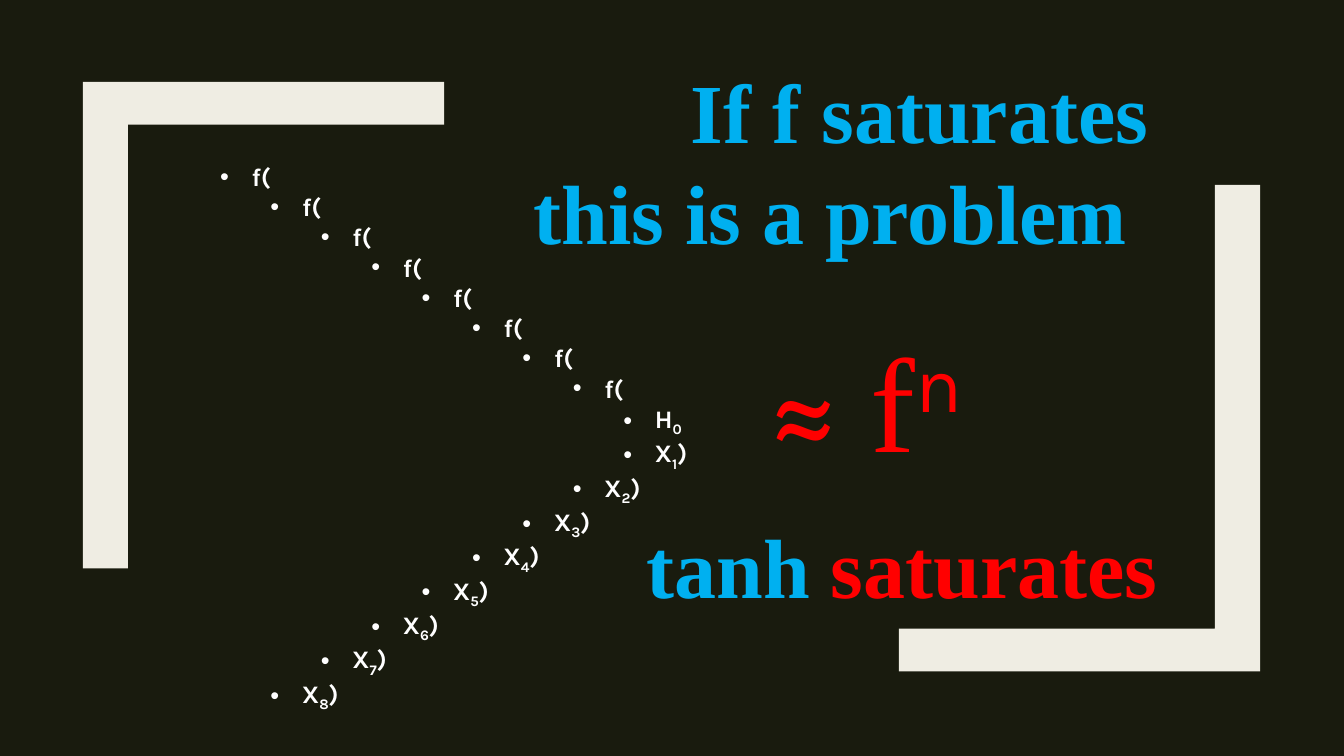
from lxml.etree import SubElement
from pptx import Presentation
from pptx.dml.color import RGBColor
from pptx.enum.text import MSO_ANCHOR, MSO_AUTO_SIZE, PP_ALIGN
from pptx.oxml.ns import qn
from pptx.util import Inches, Pt

COLORS = {"back": "191B0E", "frame": "EFEDE3", "text": "FFFFFF",
          "blue": "00B0F0", "red": "FF0000"}
SERIF, SANS = "Times New Roman", "Karla"
COLS, ROWS = 80, 45
DEPTH = 8
NBSP = "\u00a0"


def rgb(name):
    """Return the named colour."""
    return RGBColor.from_string(COLORS[name])


class Deck:
    """Holds the style and the current slide; lengths are grid cells."""

    def __init__(self):
        """Open a wide presentation with one title-and-content slide."""
        self.prs = Presentation()
        self.prs.slide_width, self.prs.slide_height = Inches(13.33), Inches(7.5)
        self.s = self.prs.slides.add_slide(self.prs.slide_layouts[1])
        self.s.background.fill.solid()
        self.s.background.fill.fore_color.rgb = rgb("back")

    def x(self, cols):
        """Convert columns to a length."""
        return round(self.prs.slide_width * cols / COLS)

    def y(self, rows):
        """Convert rows to a length."""
        return round(self.prs.slide_height * rows / ROWS)

    def place(self, sp, left, top, width, height):
        """Move a text shape and prepare its frame."""
        sp.left, sp.top = self.x(left), self.y(top)
        sp.width, sp.height = self.x(width), self.y(height)
        tf = sp.text_frame
        tf.word_wrap = True
        tf.auto_size = MSO_AUTO_SIZE.NONE
        tf.vertical_anchor = MSO_ANCHOR.TOP
        return tf

    def runs(self, p, parts, size, font, color, bold=None):
        """Add (text, changes) runs that share one style."""
        for text, changes in parts:
            r = p.add_run()
            r.text = text
            r.font.size, r.font.bold = Pt(size), bold
            r.font.name = changes.get("font", font)
            r.font.color.rgb = rgb(changes.get("color", color))
            if "base" in changes:
                r._r.get_or_add_rPr().set("baseline", str(changes["base"] * 1000))

    def title(self, lines, *box):
        """Fill the title placeholder with right-aligned lines."""
        tf = self.place(self.s.shapes.title, *box)
        tf.text = "\n".join(lines)
        for p in tf.paragraphs:
            p.alignment = PP_ALIGN.RIGHT
            for r in p.runs:
                r.font.size, r.font.bold, r.font.name = Pt(60), True, SERIF
                r.font.color.rgb = rgb("blue")

    def label(self, parts, *box, **style):
        """Add a right-aligned text box."""
        tf = self.place(self.s.shapes.add_textbox(0, 0, 0, 0), *box)
        p = tf.paragraphs[0]
        p.alignment = PP_ALIGN.RIGHT
        self.runs(p, parts, **style)

    def nested_list(self, items, *box):
        """Fill the body placeholder with (level, parts) bullets."""
        tf = self.place(self.s.placeholders[1], *box)
        for i, (level, parts) in enumerate(items):
            p = tf.add_paragraph() if i else tf.paragraphs[0]
            p.level = level
            p.space_before = Pt(0)
            pPr = p._p.get_or_add_pPr()
            pPr.set("marL", str(self.x(1.88 + 3 * level)))
            pPr.set("indent", str(-self.x(1.88)))
            SubElement(pPr, qn("a:buChar")).set("char", "•")
            self.runs(p, parts, 18, SANS, "text", True)

    def brackets(self, corners, width=21.5, height=28.95, thick=(2.68, 2.54)):
        """Draw grouped L-shaped brackets from (column, row, direction)."""
        group = self.s.shapes.add_group_shape()
        tx, ty = thick
        outline = [(0, 0), (width, 0), (width, ty), (tx, ty), (tx, height), (0, height)]
        for col, row, way in corners:
            pts = [(self.x(col + way * dx), self.y(row + way * dy)) for dx, dy in outline]
            fb = group.shapes.build_freeform(*pts[0])
            fb.add_line_segments(pts[1:], close=True)
            sp = fb.convert_to_shape()
            sp.shadow.inherit = False
            sp.fill.solid()
            sp.fill.fore_color.rgb = rgb("frame")
            sp.line.fill.background()


def variable(name, index, tail=""):
    """Return the runs of a subscripted variable."""
    parts = [(name, {}), (str(index), {"base": -25})]
    return parts + [(tail, {})] if tail else parts


def main():
    """Build and save the slide."""
    deck = Deck()
    deck.brackets([(75, 39.96, -1), (4.93, 4.88, 1)])

    calls = [(level, [("f(", {})]) for level in range(DEPTH)]
    inputs = [(DEPTH + 1 - n, variable("X", n, ")" + NBSP if n == 2 else ")"))
              for n in range(1, DEPTH + 1)]
    deck.nested_list(calls + [(DEPTH, variable("H", 0))] + inputs,
                     12.5, 9.3, 49.3, 34.55)

    deck.label([("≈" + NBSP, {}), ("f", {"font": SERIF}), ("n", {"base": 30})],
               17.5, 18.66, 40.4, 10.62, size=96, font=SANS, color="red")
    deck.title(["If f saturates", "this is a problem" + NBSP],
               13.44, 3.24, 55.5, 12.72)
    deck.label([("tanh", {}), (NBSP + "saturates" + NBSP, {"color": "red"})],
               15.24, 30.3, 55.5, 6.66, size=60, font=SERIF, color="blue", bold=True)
    deck.prs.save("out.pptx")


main()
